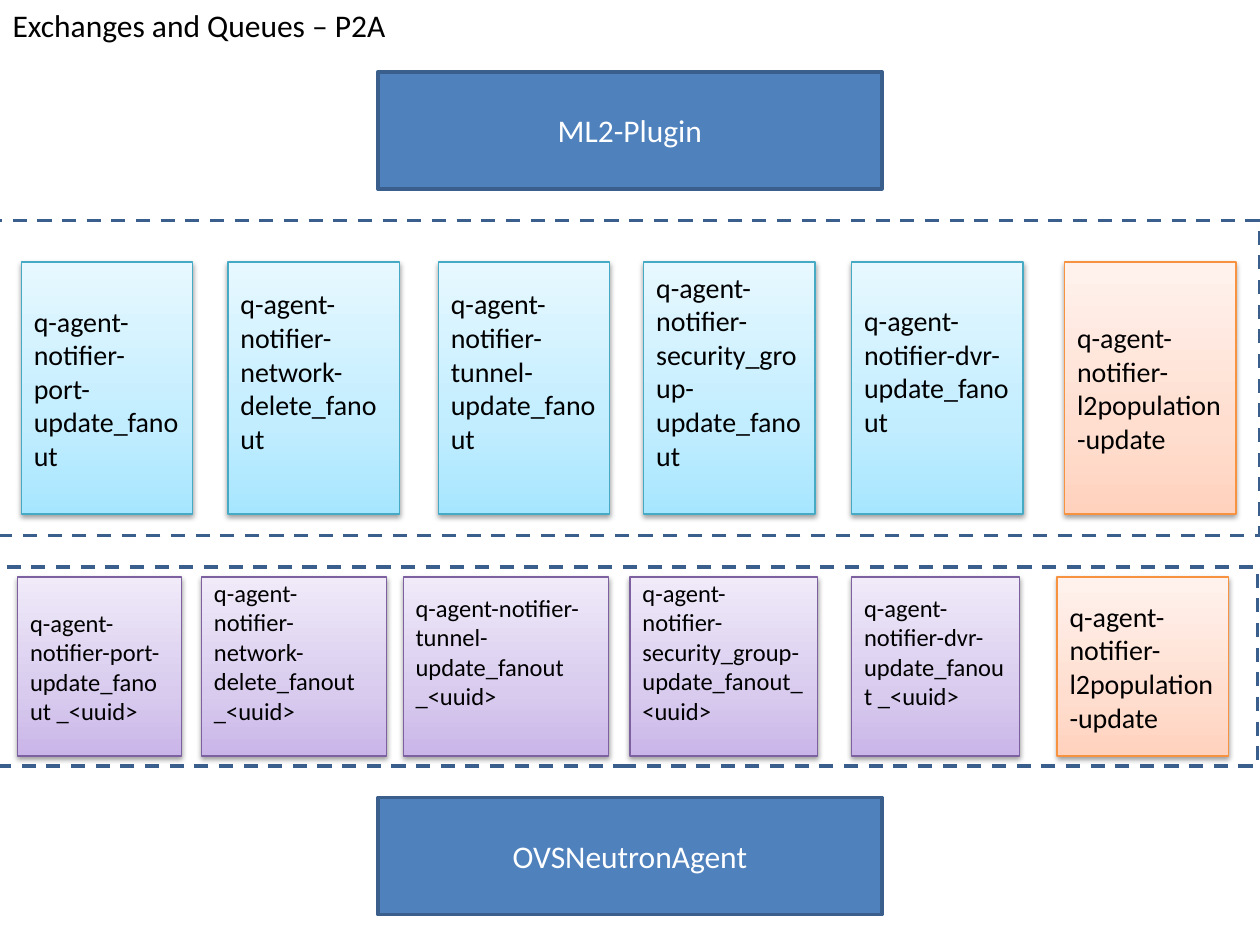
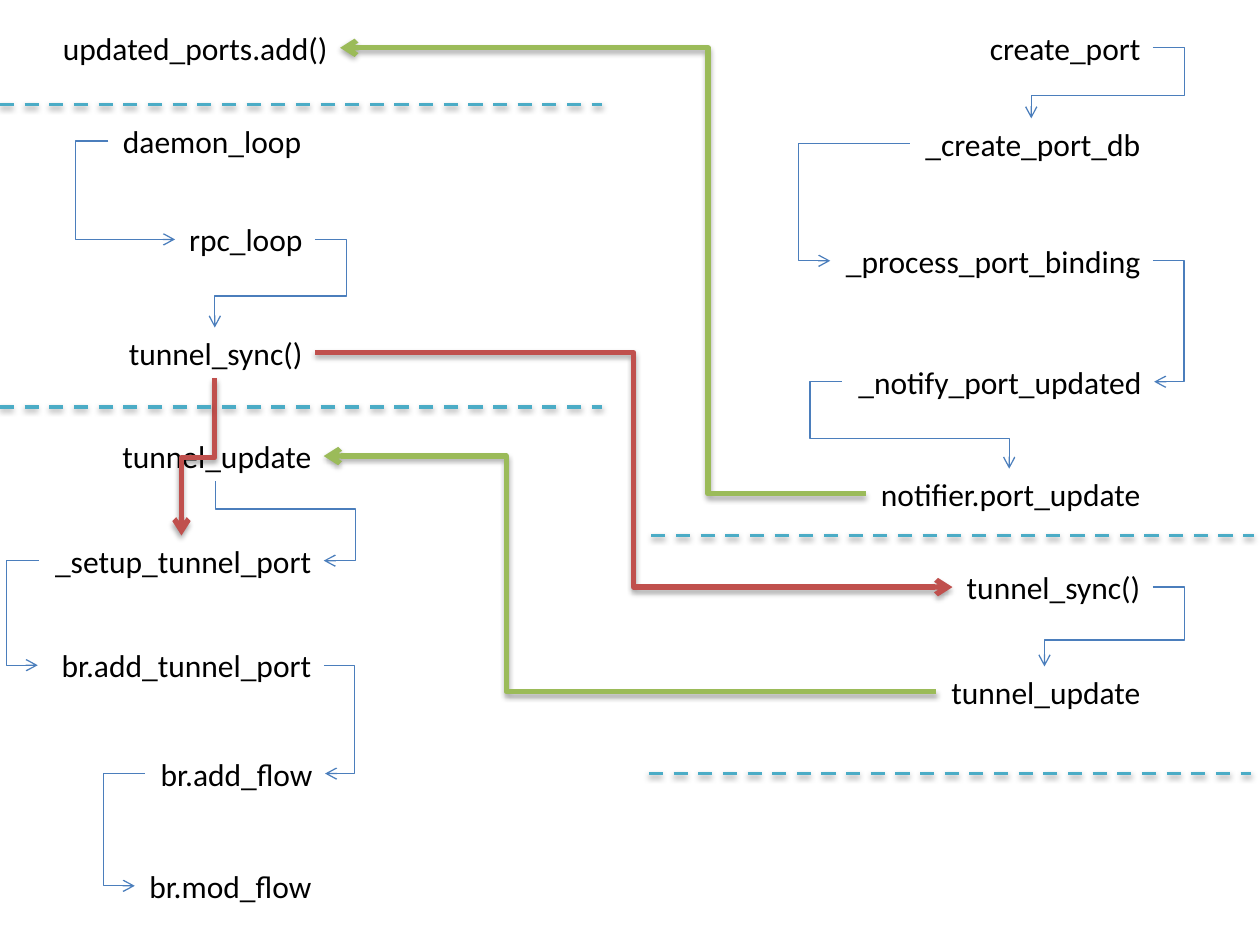
from copy import deepcopy
from dataclasses import dataclass

from lxml.etree import SubElement
from pptx import Presentation
from pptx.dml.color import RGBColor
from pptx.enum.dml import MSO_LINE
from pptx.enum.shapes import MSO_CONNECTOR, MSO_SHAPE
from pptx.enum.text import MSO_ANCHOR, MSO_AUTO_SIZE, PP_ALIGN
from pptx.oxml.ns import qn
from pptx.util import Inches, Pt

# Shared style
FONT = "Calibri"
BLACK = RGBColor(0x00, 0x00, 0x00)
WHITE = RGBColor(0xFF, 0xFF, 0xFF)
COMPONENT_FILL = RGBColor(0x4F, 0x81, 0xBD)
COMPONENT_EDGE = RGBColor(0x3A, 0x5F, 0x8C)
CALL_BLUE = RGBColor(0x4B, 0x7E, 0xBC)
CAST_GREEN = RGBColor(0x9B, 0xBB, 0x59)
SYNC_RED = RGBColor(0xC0, 0x50, 0x4D)
DIVIDER_TEAL = RGBColor(0x4B, 0xAC, 0xC6)

# Card palettes: edge, then gradient from bottom to top
EXCHANGE = (RGBColor(0x46, 0xAA, 0xC5), RGBColor(0xA7, 0xE6, 0xFF),
            RGBColor(0xC1, 0xED, 0xFF), RGBColor(0xE7, 0xF8, 0xFF))
QUEUE = (RGBColor(0x7D, 0x60, 0xA0), RGBColor(0xC9, 0xB5, 0xE8),
         RGBColor(0xD8, 0xCB, 0xEE), RGBColor(0xF0, 0xEA, 0xF9))
POPULATION = (RGBColor(0xF6, 0x92, 0x40), RGBColor(0xFF, 0xD2, 0xBD),
              RGBColor(0xFF, 0xDE, 0xD0), RGBColor(0xFF, 0xF2, 0xED))
GRADIENT_POSITIONS = (0, 0.35, 1)

COLUMNS, ROWS = 10, 7.5
LABEL_HEIGHT = 0.4
TITLE_ONLY, BLANK = 5, 6


@dataclass
class Label:
    """Grid frame of a function name, with the middles of its sides."""
    left: float
    top: float
    right: float

    @property
    def west(self):
        return self.left, self.top + LABEL_HEIGHT / 2

    @property
    def east(self):
        return self.right, self.top + LABEL_HEIGHT / 2

    @property
    def north(self):
        return (self.left + self.right) / 2, self.top

    @property
    def south(self):
        return (self.left + self.right) / 2, self.top + LABEL_HEIGHT


class Deck:
    def __init__(self):
        self.deck = Presentation()
        self.deck.slide_width, self.deck.slide_height = Inches(10), Inches(7.5)
        self.slide = None

    def new_slide(self, layout):
        self.slide = self.deck.slides.add_slide(self.deck.slide_layouts[layout])

    def place(self, *lengths):
        """Turn alternating columns and rows into slide lengths."""
        units = (self.deck.slide_width / COLUMNS, self.deck.slide_height / ROWS)
        return [round(length * units[i % 2]) for i, length in enumerate(lengths)]

    def set_text(self, shape, text, size, color=BLACK, align=PP_ALIGN.LEFT, wrap=True):
        frame = shape.text_frame
        frame.text = text
        frame.word_wrap = wrap
        paragraph = frame.paragraphs[0]
        paragraph.alignment = align
        paragraph.font.name = FONT
        paragraph.font.size = Pt(size)
        paragraph.font.color.rgb = color
        return frame

    def outline(self, shape, color, width, dashed=False):
        shape.line.color.rgb = color
        shape.line.width = Pt(width)
        if dashed:
            shape.line.dash_style = MSO_LINE.DASH

    def shade(self, shape, opacity=0, distance=1.6):
        """Replace the theme shadow by a soft one, or by none."""
        effects = SubElement(shape._element.spPr, qn("a:effectLst"))
        if opacity:
            shadow = SubElement(effects, qn("a:outerShdw"), blurRad=str(Pt(3.1)),
                                dist=str(Pt(distance)), dir="5400000", rotWithShape="0")
            color = SubElement(shadow, qn("a:srgbClr"), val=str(BLACK))
            SubElement(color, qn("a:alpha"), val=str(opacity * 1000))

    def title(self, text, *frame):
        title = self.slide.shapes.title
        title.left, title.top, title.width, title.height = self.place(*frame)
        body = self.set_text(title, text, 18, wrap=False)
        body.vertical_anchor = MSO_ANCHOR.TOP
        body.auto_size = MSO_AUTO_SIZE.SHAPE_TO_FIT_TEXT

    def box(self, *frame):
        return self.slide.shapes.add_shape(MSO_SHAPE.RECTANGLE, *self.place(*frame))

    def region(self, *frame):
        region = self.box(*frame)
        region.fill.background()
        self.outline(region, COMPONENT_EDGE, 2, dashed=True)
        self.shade(region)

    def component(self, text, top):
        component = self.box(3, top, 4, 0.93)
        component.fill.solid()
        component.fill.fore_color.rgb = COMPONENT_FILL
        self.outline(component, COMPONENT_EDGE, 2)
        self.shade(component)
        self.set_text(component, text, 18, WHITE, PP_ALIGN.CENTER)

    def card(self, text, frame, palette, size, raised):
        card = self.box(*frame)
        edge, *colors = palette
        card.fill.gradient()
        card.fill.gradient_angle = 90
        stops = card._element.spPr.find(".//" + qn("a:gsLst"))
        stops.append(deepcopy(stops[0]))
        for stop, position, color in zip(card.fill.gradient_stops, GRADIENT_POSITIONS, colors):
            stop.position = position
            stop.color.rgb = color
        self.outline(card, edge, 0.75)
        self.shade(card, 38)
        body = self.set_text(card, text, size)
        if raised:  # lift the text by half a line
            body.margin_bottom = Inches(0.05) + Pt(size * 1.22)

    def label(self, text, label):
        name = self.slide.shapes.add_textbox(
            *self.place(label.left, label.top, label.right - label.left, LABEL_HEIGHT))
        body = self.set_text(name, text, 18, align=PP_ALIGN.RIGHT, wrap=False)
        body.auto_size = MSO_AUTO_SIZE.SHAPE_TO_FIT_TEXT

    def divider(self, left, row):
        divider = self.slide.shapes.add_connector(
            MSO_CONNECTOR.STRAIGHT, *self.place(left, row, left + 4.78, row))
        self.outline(divider, DIVIDER_TEAL, 2, dashed=True)
        self.shade(divider, 38)

    def route(self, start, end, *bends, color=CALL_BLUE, vertical=False):
        """Draw an elbow arrow; bends are its turning column and row in turn."""
        (x0, y0), (x1, y1) = start, end
        across, down = x1 - x0, y1 - y0
        spans, origins = (across, down), (x0, y0)
        if vertical:  # a quarter turn makes the first leg run downwards
            spans, origins = (down, across), (y0, x0)
            across, down = down, -across
        x, y = (x0 + x1) / 2, (y0 + y1) / 2
        arrow = self.slide.shapes.add_connector(MSO_CONNECTOR.ELBOW, *self.place(
            x - across / 2, y - down / 2, x + across / 2, y + down / 2))
        properties = arrow._element.spPr
        if vertical:
            properties.find(qn("a:xfrm")).set("rot", "5400000")
        geometry = properties.find(qn("a:prstGeom"))
        geometry.set("prst", f"bentConnector{len(bends) + 2}")
        adjustments = geometry.find(qn("a:avLst"))
        for i, (bend, origin, span) in enumerate(zip(bends, origins, spans), 1):
            SubElement(adjustments, qn("a:gd"), name=f"adj{i}",
                       fmla=f"val {round((bend - origin) / span * 100000)}")
        is_message = color != CALL_BLUE
        self.outline(arrow, color, 3 if is_message else 0.75)
        SubElement(properties.find(qn("a:ln")), qn("a:tailEnd"), type="arrow")
        self.shade(arrow, 35 if is_message else 0, 1.8)


def exchanges_and_queues(deck):
    deck.new_slide(TITLE_ONLY)
    deck.title("Exchanges and Queues – P2A", 0, 0, 3.2, 0.4)
    deck.region(-0.02, 1.75, 10.02, 2.5)
    deck.region(-0.02, 4.5, 10, 1.58)
    deck.component("ML2-Plugin", 0.57)
    deck.component("OVSNeutronAgent", 6.33)

    # Topic, exchange left, queue left and width, queue suffix
    topics = [
        ("port-update", 0.17, 0.14, 1.3, " _<uuid>"),
        ("network-delete", 1.81, 1.6, 1.47, " _<uuid>"),
        ("tunnel-update", 3.48, 3.2, 1.63, " _<uuid>"),
        ("security_group-update", 5.11, 5, 1.49, "_<uuid>"),
        ("dvr-update", 6.76, 6.76, 1.33, " _<uuid>"),
    ]
    for i, (topic, exchange_left, queue_left, queue_width, suffix) in enumerate(topics):
        name = f"q-agent-notifier-{topic}_fanout"
        deck.card(name, (exchange_left, 2.08, 1.36, 2), EXCHANGE, 16, raised=i > 0)
        deck.card(name + suffix, (queue_left, 4.58, queue_width, 1.42), QUEUE, 14, raised=i > 0)
    for frame in ((8.45, 2.08, 1.36, 2), (8.39, 4.58, 1.36, 1.42)):
        deck.card("q-agent-notifier-l2population-update", frame, POPULATION, 16, raised=False)


def call_flow(deck):
    deck.new_slide(BLANK)

    # Functions on the agent side and on the plugin side
    agent = {
        "updated_ports.add()": Label(0.37, 0.18, 2.7),
        "daemon_loop": Label(0.86, 0.92, 2.49),
        "rpc_loop": Label(1.39, 1.7, 2.5),
        "tunnel_sync()": Label(0.91, 2.6, 2.5),
        "tunnel_update": Label(0.85, 3.42, 2.57),
        "_setup_tunnel_port": Label(0.31, 4.25, 2.57),
        "br.add_tunnel_port": Label(0.3, 5.08, 2.57),
        "br.add_flow": Label(1.15, 5.94, 2.58),
        "br.mod_flow": Label(1.07, 6.83, 2.57),
    }
    plugin = {
        "create_port": Label(7.74, 0.18, 9.15),
        "_create_port_db": Label(7.22, 0.94, 9.15),
        "_process_port_binding": Label(6.59, 1.87, 9.15),
        "_notify_port_updated": Label(6.68, 2.83, 9.16),
        "notifier.port_update": Label(6.87, 3.72, 9.15),
        "tunnel_sync()": Label(7.56, 4.46, 9.15),
        "tunnel_update": Label(7.43, 5.29, 9.15),
    }
    for side in (agent, plugin):
        for text, label in side.items():
            deck.label(text, label)

    (add_ports, daemon, rpc, agent_sync, agent_update,
     setup, add_tunnel, add_flow, mod_flow) = agent.values()
    create, create_db, binding, notify, notifier, plugin_sync, plugin_update = plugin.values()

    # Calls within the agent
    deck.route(daemon.west, rpc.west, 0.6)
    deck.route(rpc.east, agent_sync.north, 2.75, 2.35)
    deck.route(agent_update.south, setup.east, 4.04, 2.82, vertical=True)
    deck.route(setup.west, add_tunnel.west, 0.05)
    deck.route(add_tunnel.east, add_flow.east, 2.82)
    deck.route(add_flow.west, mod_flow.west, 0.82)

    # Calls within the plugin
    deck.route(create.east, create_db.north, 9.4, 0.76)
    deck.route(create_db.west, binding.west, 6.34)
    deck.route(binding.east, notify.east, 9.4)
    deck.route(notify.west, notifier.north, 6.43, 3.48)
    deck.route(plugin_sync.east, plugin_update.north, 9.4, 5.08)

    # Messages between the two sides
    deck.route(notifier.west, add_ports.east, 5.62, color=CAST_GREEN)
    deck.route(agent_sync.east, plugin_sync.west, 5.03, color=SYNC_RED)
    deck.route(plugin_update.west, agent_update.east, 4.02, color=CAST_GREEN)
    deck.route(agent_sync.south, setup.north, 3.63, color=SYNC_RED, vertical=True)

    for left, row in ((0, 0.83), (5.17, 4.25), (0, 3.23), (5.15, 6.14)):
        deck.divider(left, row)


def main():
    deck = Deck()
    exchanges_and_queues(deck)
    call_flow(deck)
    deck.deck.save("out.pptx")


if __name__ == "__main__":
    main()
